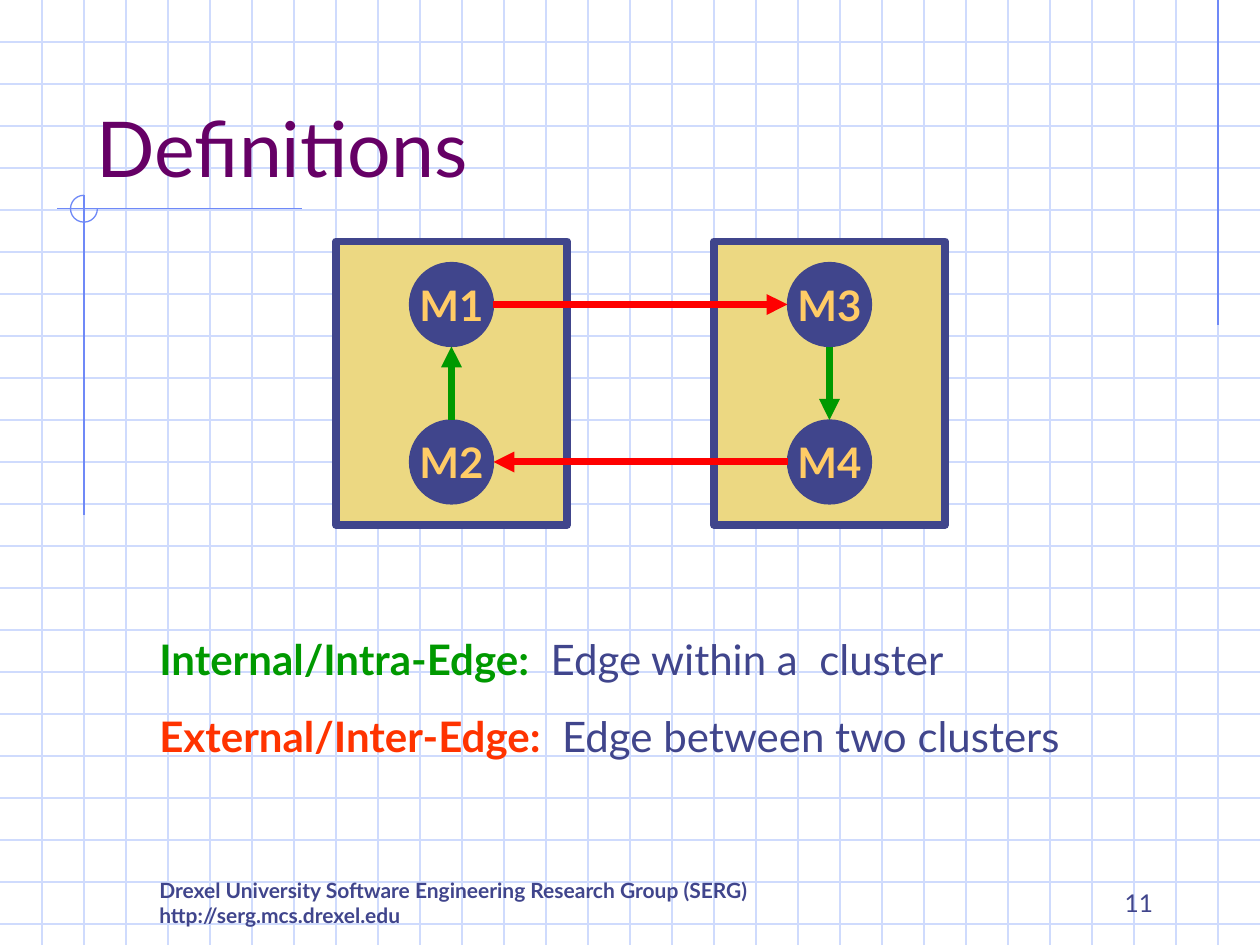
from lxml.etree import SubElement
from pptx import Presentation
from pptx.dml.color import RGBColor
from pptx.enum.shapes import MSO_CONNECTOR as Connector, MSO_SHAPE as Shape
from pptx.enum.text import MSO_ANCHOR as Anchor, MSO_AUTO_SIZE as AutoSize, PP_ALIGN as Align
from pptx.oxml.ns import qn
from pptx.util import Inches, Pt

COLORS = {
    "grid": "CFDBFD", "ornament": "6F89F7", "title": "660066",
    "ink": "40458C", "cluster": "ECD882", "node_text": "FFCC66",
    "internal_arrow": "009900", "external_arrow": "FF0000",
    "internal_term": "009900", "external_term": "FF3300",
}
FONT = "Lato"
WIDTH, HEIGHT = 10, 7.5
CELL = 1 / 3
NODE_SIZE = 2
CLUSTER_TOP = 5.75
NODE_ROWS = (6.25, 10)
CLUSTERS = ((8, ("M1", "M2")), (17, ("M3", "M4")))
EDGES = (
    ("M2", "M1", "internal_arrow"),
    ("M3", "M4", "internal_arrow"),
    ("M1", "M3", "external_arrow"),
    ("M4", "M2", "external_arrow"),
)
DEFINITIONS = (
    ("Internal/Intra-Edge:", "  Edge within a  cluster", "internal_term"),
    ("External/Inter-Edge:", "  Edge between two clusters", "external_term"),
)


def cells(*counts):
    return [Inches(count * CELL) for count in counts]


def color(name):
    return RGBColor.from_string(COLORS[name])


def style_font(font, size, name, bold=False):
    font.name, font.size, font.bold = FONT, Pt(size), bold
    font.color.rgb = color(name)


def add_line(slide, start, end, name, width=0.75, arrow=False):
    line = slide.shapes.add_connector(Connector.STRAIGHT, *cells(*start, *end))
    line.line.color.rgb = color(name)
    line.line.width = Pt(width)
    properties = line._element.spPr
    if arrow:
        SubElement(line.line._get_or_add_ln(), qn("a:tailEnd"), type="triangle")
    SubElement(properties, qn("a:effectLst"))


def add_preset(slide, kind, box, line, width=0.75, fill=None):
    shape = slide.shapes.add_shape(kind, *cells(*box))
    shape.shadow.inherit = False
    if fill:
        shape.fill.solid()
        shape.fill.fore_color.rgb = color(fill)
    else:
        shape.fill.background()
    shape.line.color.rgb = color(line)
    shape.line.width = Pt(width)
    return shape


def add_text_box(slide, box, anchor=Anchor.TOP):
    frame = slide.shapes.add_textbox(*cells(*box)).text_frame
    frame.word_wrap = True
    frame.vertical_anchor = anchor
    return frame


def add_background(slide):
    columns, rows = WIDTH / CELL, HEIGHT / CELL
    for row in range(1, int(rows) + 1):
        add_line(slide, (0, row), (columns, row), "grid")
    for column in range(1, round(columns)):
        add_line(slide, (column, 0), (column, rows), "grid")
    add_line(slide, (29, 0), (29, 7.75), "ornament")
    add_line(slide, (1.36, 4.97), (7.2, 4.97), "ornament")
    add_line(slide, (2, 4.65), (2, 12.27), "ornament")
    arc = add_preset(slide, Shape.ARC, (1.68, 4.65, 0.64, 0.64), "ornament")
    arc.adjustments[0] = 0
    arc.adjustments[1] = 162


def add_title(slide):
    title = slide.shapes.title
    title.left, title.top, title.width, title.height = cells(2, 1, 25.5, 3.75)
    frame = title.text_frame
    frame.text = "Definitions"
    frame.auto_size = AutoSize.NONE
    frame.vertical_anchor = Anchor.BOTTOM
    paragraph = frame.paragraphs[0]
    paragraph.alignment = Align.LEFT
    style_font(paragraph.font, 44, "title")
    slide.shapes._spTree.append(title._element)


def add_node(slide, label, left, top):
    node = add_preset(slide, Shape.OVAL, (left, top, NODE_SIZE, NODE_SIZE), "ink", fill="ink")
    frame = node.text_frame
    frame.word_wrap = False
    frame.vertical_anchor = Anchor.MIDDLE
    frame.text = label
    paragraph = frame.paragraphs[0]
    paragraph.alignment = Align.CENTER
    style_font(paragraph.font, 24, "node_text", bold=True)


def add_edge(slide, source, target, name):
    radius = NODE_SIZE / 2
    ends = []
    for here, there in ((source, target), (target, source)):
        steps = [(b > a) - (b < a) for a, b in zip(here, there)]
        ends.append([a + radius + step * radius for a, step in zip(here, steps)])
    add_line(slide, *ends, name, width=4, arrow=True)


def add_graph(slide):
    nodes = {}
    for left, labels in CLUSTERS:
        add_preset(slide, Shape.RECTANGLE, (left, CLUSTER_TOP, 5.5, 6.75), "ink", 4.5, "cluster")
        for label, row in zip(labels, NODE_ROWS):
            nodes[label] = (left + 1.75, row)
            add_node(slide, label, *nodes[label])
    for source, target, name in EDGES:
        add_edge(slide, nodes[source], nodes[target], name)


def add_definitions(slide):
    frame = add_text_box(slide, (3.5, 14.94, 23.75, 4.53))
    for index, (term, meaning, name) in enumerate(DEFINITIONS):
        paragraph = frame.add_paragraph() if index else frame.paragraphs[0]
        if index:
            paragraph.space_before = Pt(15)
        for text, text_color, bold in ((term, name, True), (meaning, "ink", False)):
            run = paragraph.add_run()
            run.text = text
            style_font(run.font, 24, text_color, bold)


def add_footer(slide):
    paragraph = add_text_box(slide, (3.5, 20.75, 19.5, 1.5)).paragraphs[0]
    paragraph.text = "Drexel University Software Engineering Research Group (SERG)\vhttp://serg.mcs.drexel.edu"
    style_font(paragraph.font, 12, "ink", bold=True)
    number = add_text_box(slide, (21.5, 20.5, 6.25, 1.5), Anchor.BOTTOM).paragraphs[0]
    number.text = "11"
    number.alignment = Align.RIGHT
    style_font(number.font, 14, "ink")


def main():
    presentation = Presentation()
    presentation.slide_width, presentation.slide_height = Inches(WIDTH), Inches(HEIGHT)
    slide = presentation.slides.add_slide(presentation.slide_layouts[5])
    add_background(slide)
    add_title(slide)
    add_graph(slide)
    add_definitions(slide)
    add_footer(slide)
    presentation.save("out.pptx")


if __name__ == "__main__":
    main()
